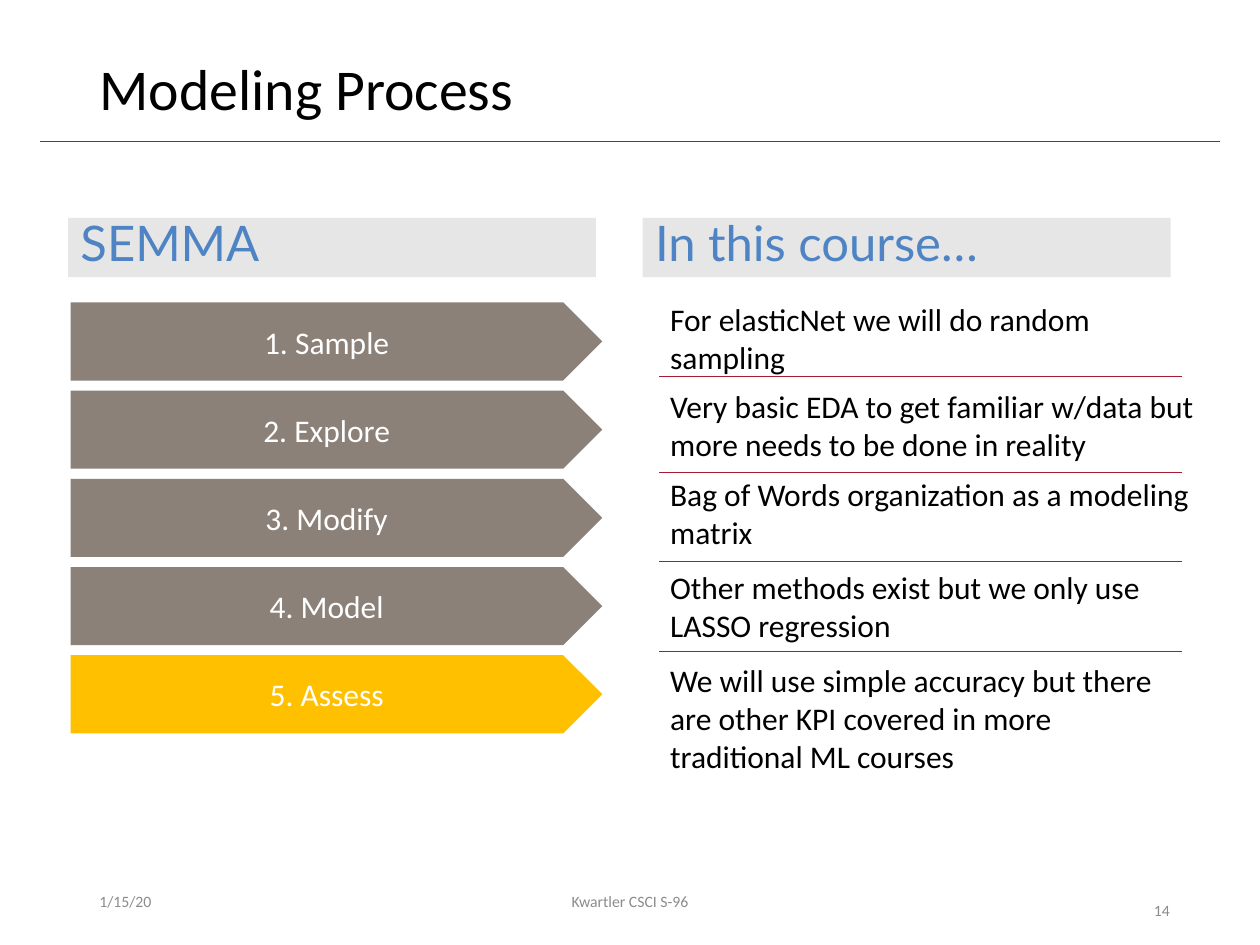
from lxml import etree
from pptx import Presentation
from pptx.dml.color import RGBColor
from pptx.enum.shapes import MSO_CONNECTOR, MSO_SHAPE
from pptx.enum.text import MSO_ANCHOR, PP_ALIGN
from pptx.oxml.ns import qn
from pptx.util import Inches, Pt

STRAIGHT = MSO_CONNECTOR.STRAIGHT
PENTAGON, RECTANGLE = MSO_SHAPE.PENTAGON, MSO_SHAPE.RECTANGLE
TOP, MIDDLE = MSO_ANCHOR.TOP, MSO_ANCHOR.MIDDLE
LEFT, CENTER = PP_ALIGN.LEFT, PP_ALIGN.CENTER

BLACK, WHITE, GRAY = "000000", "FFFFFF", "8C8C8C"
CRIMSON, TAUPE, GOLD = "A51C30", "8C8179", "FFC000"
PALE, BLUE = "E7E6E6", "4E84C4"

STEPS = [
    ("1. Sample", TAUPE),
    ("2. Explore", TAUPE),
    ("3. Modify", TAUPE),
    ("4. Model", TAUPE),
    ("5. Assess", GOLD),
]
NOTES = [
    ("For elasticNet we will do random sampling", 2.33, 4.18, 0.71),
    ("Very basic EDA to get familiar w/data but more needs to be done in reality",
     3.02, 4.78, 0.71),
    ("Bag of Words organization as a modeling matrix", 3.72, 4.55, 0.71),
    ("Other methods exist but we only use LASSO regression", 4.46, 4.18, 0.71),
    ("We will use simple accuracy but there are other KPI covered in more "
     "traditional ML courses", 5.2, 4.18, 1.01),
]
DIVIDERS = [2.99, 3.75, 4.46, 5.17]
HEADINGS = [("SEMMA", 0.54), ("In this course…", 5.1)]
HEADING_FORMAT = {"line_spacing": 0.8, "space_before": Pt(7.5)}


def color(value):
    """Return the colour for a hex string."""
    return RGBColor.from_string(value)


def write(shape, text, size, ink, font="Calibri", anchor=TOP, **paragraph_format):
    """Put one formatted paragraph into a shape."""
    frame = shape.text_frame
    frame.word_wrap = True
    frame.vertical_anchor = anchor
    para = frame.paragraphs[0]
    for name, value in {"alignment": LEFT, **paragraph_format}.items():
        setattr(para, name, value)
    span = para.add_run()
    span.text = text
    for name, value in {"name": font, "size": Pt(size)}.items():
        setattr(span.font, name, value)
    span.font.color.rgb = color(ink)


def add_title(page, text):
    """Fill and place the title placeholder."""
    title = page.shapes.title
    place = {"left": 0.69, "top": 0.4, "width": 8.62, "height": 0.65}
    for name, value in place.items():
        setattr(title, name, Inches(value))
    write(title, text, 33, BLACK, anchor=MIDDLE, line_spacing=0.9)


def add_text(page, bounds, text, size, ink, **text_format):
    """Add a wrapped text box."""
    box = page.shapes.add_textbox(*map(Inches, bounds))
    write(box, text, size, ink, **text_format)


def add_block(page, kind, bounds, fill, text, size, ink, **text_format):
    """Add a filled shape without outline that holds text."""
    block = page.shapes.add_shape(kind, *map(Inches, bounds))
    block.shadow.inherit = False
    block.fill.solid()
    block.fill.fore_color.rgb = color(fill)
    block.line.fill.background()
    write(block, text, size, ink, **text_format)


def add_rule(page, left, right, top):
    """Add a thin horizontal line."""
    ends = map(Inches, (left, top, right, top))
    rule = page.shapes.add_connector(STRAIGHT, *ends)
    rule.line.color.rgb = color(CRIMSON)
    rule.line.width = Pt(0.5)
    etree.SubElement(rule._element.spPr, qn("a:effectLst"))


def add_footer(page):
    """Add the date, the course name and the page number."""
    add_text(page, (0.69, 6.95, 2.25, 0.4), "1/15/20", 9, GRAY, anchor=MIDDLE)
    add_text(page, (3.31, 6.95, 3.38, 0.4), "Kwartler CSCI S-96", 9, GRAY,
             anchor=MIDDLE, alignment=CENTER)
    add_text(page, (9.06, 6.95, 0.94, 0.4), "14", 9, GRAY, line_spacing=2.0)


def main():
    """Build the modeling process slide."""
    deck = Presentation()
    deck.slide_width, deck.slide_height = Inches(10), Inches(7.5)
    page = deck.slides.add_slide(deck.slide_layouts.get_by_name("Title Only"))
    add_rule(page, 0.32, 9.68, 1.12)
    add_title(page, "Modeling Process")
    add_footer(page)
    for index, (step, fill) in enumerate(STEPS):
        bounds = (0.56, 2.4 + 0.7 * index, 4.22, 0.62)
        add_block(page, PENTAGON, bounds, fill, step, 18, WHITE,
                  anchor=MIDDLE, alignment=CENTER)
    for top in DIVIDERS:
        add_rule(page, 5.23, 9.38, top)
    for note, top, width, height in NOTES:
        add_text(page, (5.22, top, width, height), note, 18, BLACK)
    for heading, left in HEADINGS:
        add_block(page, RECTANGLE, (left, 1.73, 4.19, 0.47), PALE, heading, 28, BLUE,
                  font="Lato", **HEADING_FORMAT)
    deck.save("out.pptx")


if __name__ == "__main__":
    main()
